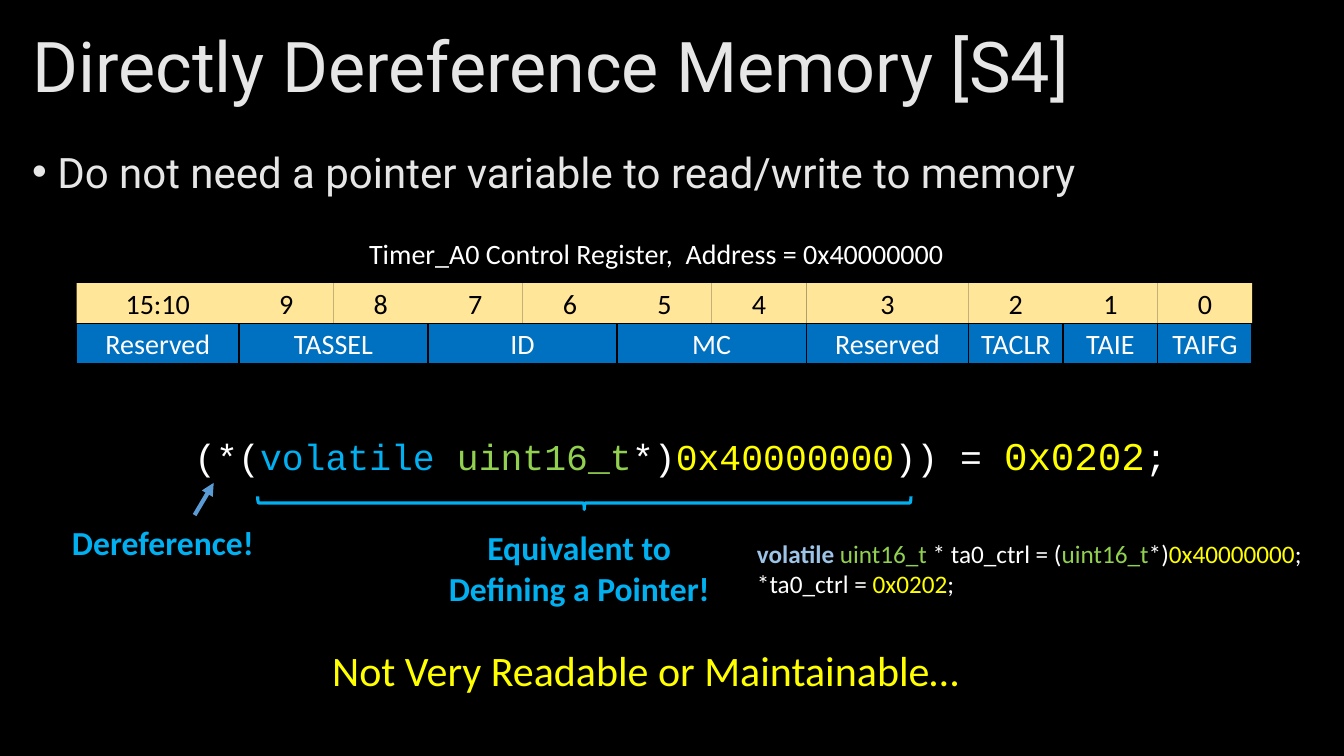
"""Build the slide on dereferencing memory directly."""
from lxml.etree import SubElement
from pptx import Presentation
from pptx.dml.color import RGBColor
from pptx.enum.shapes import MSO_CONNECTOR, MSO_SHAPE
from pptx.enum.text import MSO_ANCHOR, PP_ALIGN
from pptx.oxml.ns import qn
from pptx.util import Inches, Pt

BLACK = RGBColor(0x00, 0x00, 0x00)
WHITE = RGBColor(0xFF, 0xFF, 0xFF)
LIGHT_GREY = RGBColor(0xE7, 0xE6, 0xE6)
CREAM = RGBColor(0xFF, 0xE6, 0x99)
BLUE = RGBColor(0x00, 0x70, 0xC0)
CYAN = RGBColor(0x00, 0xB0, 0xF0)
ARROW_BLUE = RGBColor(0x5B, 0x9B, 0xD5)
PALE_BLUE = RGBColor(0x9D, 0xC3, 0xE6)
GREEN = RGBColor(0x92, 0xD0, 0x50)
YELLOW = RGBColor(0xFF, 0xFF, 0x00)

TITLE = "Directly Dereference Memory [S4]"
POINT = "Do not need a pointer variable to read/write to memory"
REGISTER = "Timer_A0 Control Register,  Address = 0x40000000"
FIELDS = [
    ("Reserved", ["15:10"]),
    ("TASSEL", ["9", "8"]),
    ("ID", ["7", "6"]),
    ("MC", ["5", "4"]),
    ("Reserved", ["3"]),
    ("TACLR", ["2"]),
    ("TAIE", ["1"]),
    ("TAIFG", ["0"]),
]
STATEMENT = [[
    ("(*(", WHITE), ("volatile ", CYAN), ("uint16_t", GREEN), ("*)", WHITE),
    ("0x40000000", YELLOW), (")) = ", WHITE), ("0x0202", YELLOW), (";", WHITE),
]]
POINTER_VERSION = [
    [("volatile ", PALE_BLUE), ("uint16_t ", GREEN), ("* ta0_ctrl = (", WHITE),
     ("uint16_t", GREEN), ("*)", WHITE), ("0x40000000", YELLOW), (";", WHITE)],
    [("*ta0_ctrl = ", WHITE), ("0x0202", YELLOW), (";", WHITE)],
]
CAPTIONS = [
    ("Equivalent to Defining a Pointer!", (4.14, 5.18, 3.21, 0.91), 24, CYAN, True),
    ("Dereference!", (0.52, 5.13, 2.19, 0.5), 24, CYAN, True),
    ("Not Very Readable or Maintainable…", (2.84, 6.34, 7.13, 0.61), 30, YELLOW, False),
]

REGISTER_LEFT, REGISTER_WIDTH = 0.76, 11.66
BITS_TOP, NAMES_TOP, ROW_HEIGHT = 2.81, 3.21, 0.4
RESERVED_WIDTH = 1.61
BIT_WIDTH = (REGISTER_WIDTH - 2 * RESERVED_WIDTH) / 9


def inches(box):
    return [Inches(length) for length in box]


def write(shape, text, size, color, font="Calibri", bold=False, align=PP_ALIGN.CENTER):
    shape.text_frame.word_wrap = True
    shape.text_frame.text = text
    paragraph = shape.text_frame.paragraphs[0]
    paragraph.alignment = align
    paragraph.font.name = font
    paragraph.font.size = Pt(size)
    paragraph.font.bold = bold
    paragraph.font.color.rgb = color
    return paragraph


def add_text(shapes, text, box, size, color, **style):
    return write(shapes.add_textbox(*inches(box)), text, size, color, **style)


def add_cell(shapes, text, box, fill, color):
    cell = shapes.add_shape(MSO_SHAPE.RECTANGLE, *inches(box))
    cell.shadow.inherit = False
    cell.fill.solid()
    cell.fill.fore_color.rgb = fill
    cell.line.fill.background()
    cell.text_frame.vertical_anchor = MSO_ANCHOR.MIDDLE
    write(cell, text, 20, color)
    return cell


def add_code(shapes, lines, box, font, size):
    frame = shapes.add_textbox(*inches(box)).text_frame
    frame.word_wrap = False
    for number, line in enumerate(lines):
        paragraph = frame.add_paragraph() if number else frame.paragraphs[0]
        paragraph.font.name = font
        paragraph.font.size = Pt(size)
        for token, color in line:
            run = paragraph.add_run()
            run.text = token
            run.font.color.rgb = color
    return frame


def add_register(shapes):
    group = shapes.add_group_shape().shapes
    add_text(group, REGISTER, (2.95, 2.3, 7.12, 0.44), 20, WHITE)
    left = REGISTER_LEFT
    for name, bits in FIELDS:
        bit_width = RESERVED_WIDTH if name == "Reserved" else BIT_WIDTH
        for position, bit in enumerate(bits):
            box = (left + position * bit_width, BITS_TOP, bit_width, ROW_HEIGHT)
            add_cell(group, bit, box, CREAM, BLACK)
        width = bit_width * len(bits)
        field = add_cell(group, name, (left, NAMES_TOP, width, ROW_HEIGHT), BLUE, WHITE)
        field.line.color.rgb = BLACK
        field.line.width = Pt(1)
        left += width


def add_bullet(paragraph):
    properties = paragraph._p.get_or_add_pPr()
    properties.set("marL", str(Inches(0.25)))
    properties.set("indent", str(Inches(-0.25)))
    bullet_font = SubElement(properties, qn("a:buFont"))
    bullet_font.set("typeface", "Arial")
    SubElement(properties, qn("a:buChar")).set("char", "•")
    properties.append(properties.find(qn("a:defRPr")))


def add_brace(shapes):
    brace = shapes.add_shape(MSO_SHAPE.RIGHT_BRACE, *inches((5.73, 1.75, 0.13, 6.48)))
    brace.rotation = 90
    brace.shadow.inherit = False
    brace.fill.background()
    brace.line.color.rgb = CYAN
    brace.line.width = Pt(2.25)


def add_arrow(shapes):
    arrow = shapes.add_connector(MSO_CONNECTOR.STRAIGHT, *inches((1.93, 5.11, 2.12, 4.79)))
    arrow.line.color.rgb = ARROW_BLUE
    arrow.line.width = Pt(3)
    SubElement(arrow.line._get_or_add_ln(), qn("a:tailEnd")).set("type", "triangle")
    SubElement(arrow._element.spPr, qn("a:effectLst"))


def main():
    deck = Presentation()
    deck.slide_width, deck.slide_height = Inches(13.33), Inches(7.5)
    slide = deck.slides.add_slide(deck.slide_layouts[5])
    slide.background.fill.solid()
    slide.background.fill.fore_color.rgb = BLACK
    shapes = slide.shapes

    title = shapes.title
    title.left, title.top, title.width, title.height = inches((0.22, 0.21, 12.89, 0.97))
    title.text_frame.vertical_anchor = MSO_ANCHOR.MIDDLE
    heading = write(title, TITLE, 50, LIGHT_GREY, font="Roboto", align=PP_ALIGN.LEFT)
    heading.line_spacing = 0.9

    point = add_text(shapes, POINT, (0.22, 1.4, 12.06, 0.61), 30, LIGHT_GREY,
                     font="Roboto", align=PP_ALIGN.LEFT)
    point.space_before = Pt(10)
    add_bullet(point)

    pointer = add_code(shapes, POINTER_VERSION, (7.41, 5.29, 5.66, 0.71), "Calibri", 18)
    pointer.paragraphs[0].runs[0].font.bold = True
    add_register(shapes)
    statement = add_code(shapes, STATEMENT, (1.83, 4.23, 9.94, 0.57), "Courier New", 26)
    statement.paragraphs[0].runs[-2].font.size = Pt(28)
    add_brace(shapes)
    add_arrow(shapes)
    for text, box, size, color, bold in CAPTIONS:
        add_text(shapes, text, box, size, color, bold=bold)

    deck.save("out.pptx")


if __name__ == "__main__":
    main()
